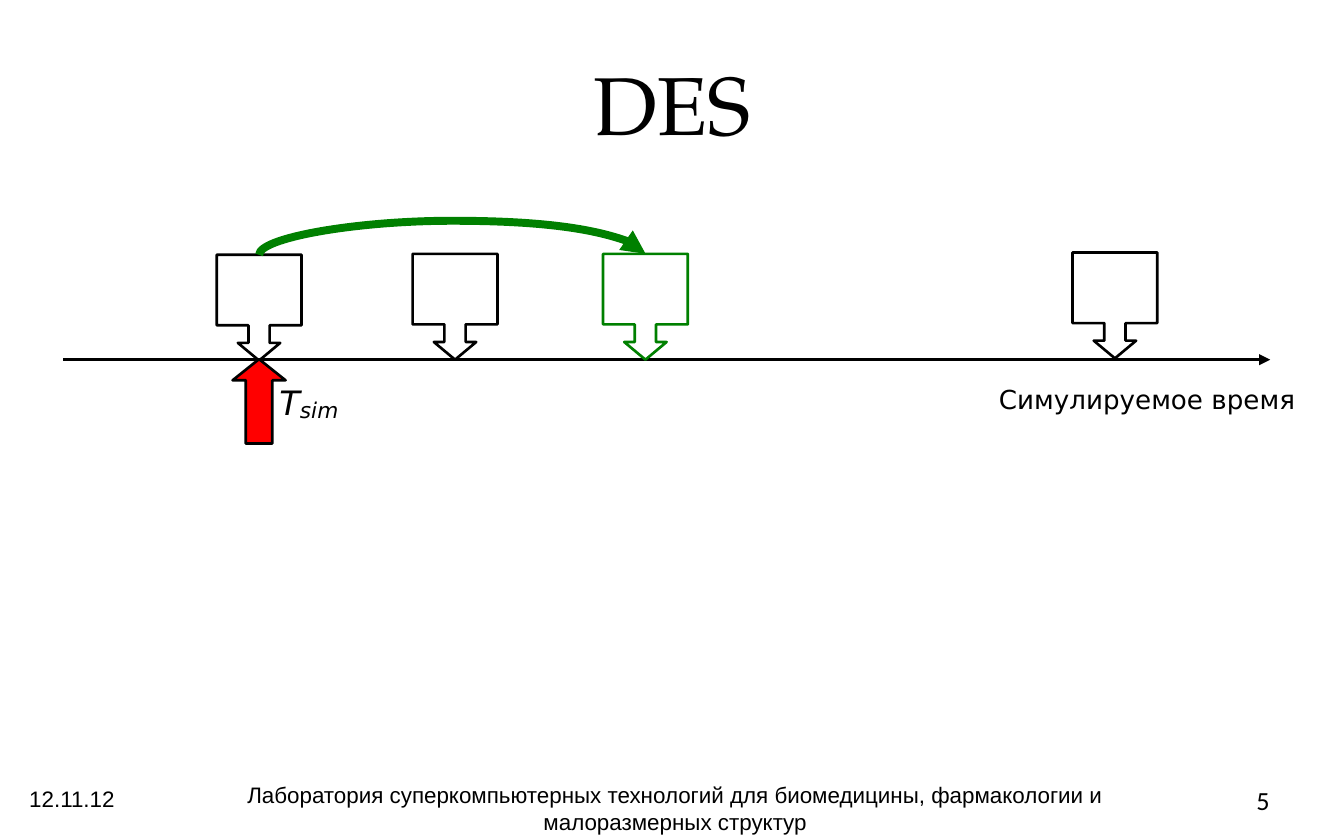
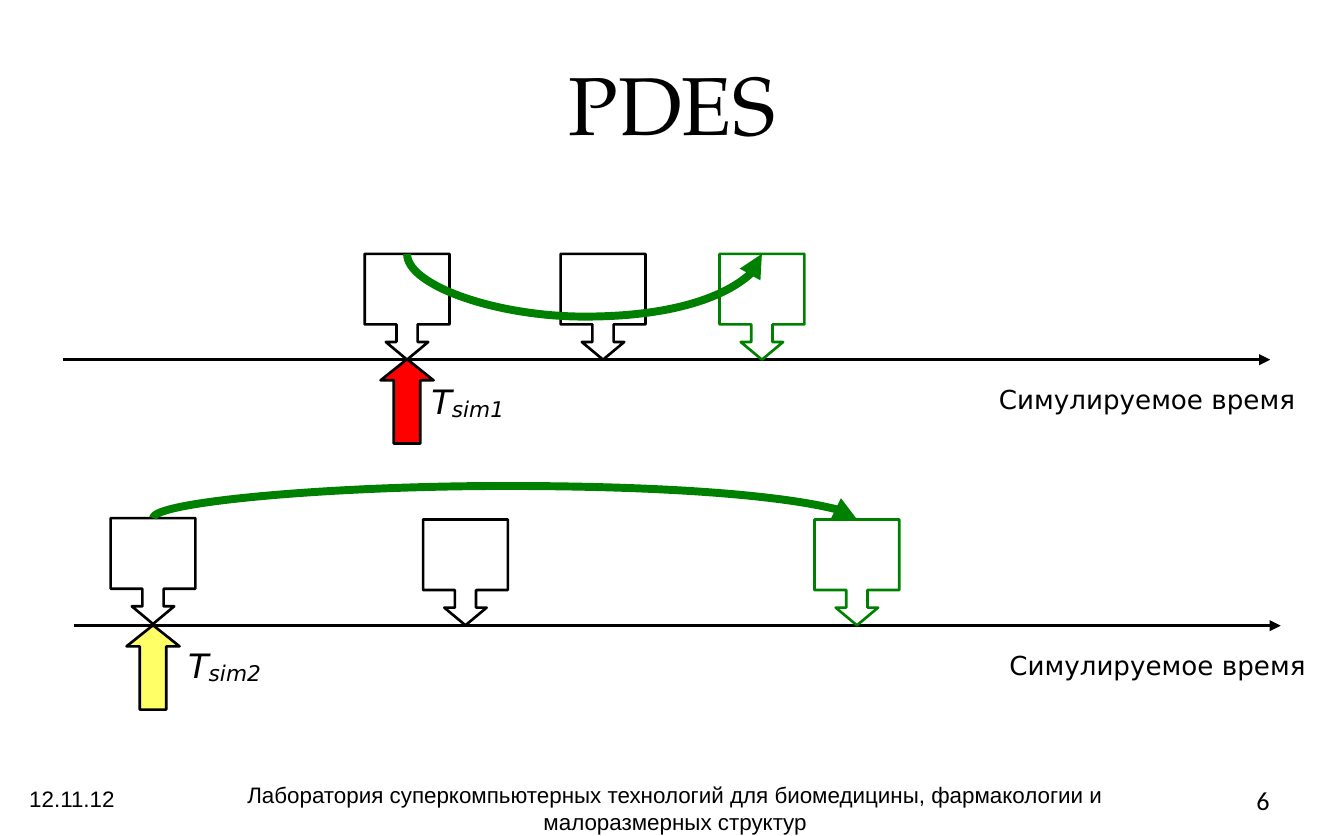
from dataclasses import dataclass

from lxml import etree
from pptx import Presentation
from pptx.dml.color import RGBColor as RGB
from pptx.enum.shapes import MSO_CONNECTOR as Link, MSO_SHAPE as Preset
from pptx.enum.text import MSO_ANCHOR as Anchor, MSO_AUTO_SIZE as AutoSize, PP_ALIGN as Align
from pptx.oxml.ns import qn
from pptx.util import Pt


@dataclass(frozen=True)
class Theme:
    black: RGB = RGB(0, 0, 0)
    white: RGB = RGB(255, 255, 255)
    green: RGB = RGB(0, 128, 0)
    red: RGB = RGB(255, 0, 0)
    yellow: RGB = RGB(255, 255, 102)
    title_font: str = "TeX Gyre Pagella"
    footer_font: str = "Arial"
    number_font: str = "Calibri"
    label_font: str = "DejaVu Sans"
    title_size: float = 44
    footer_size: float = 12
    label_size: float = 14
    clock_size: float = 18
    index_size: float = 20
    thin: float = 1.42
    thick: float = 4.25


THEME = Theme()

# Sizes of the timeline parts, in points
AXIS_LENGTH = 646.5
EVENT_WIDTH, EVENT_HEIGHT = 45.4, 56.7
POINTER_WIDTH, POINTER_HEIGHT = 28.4, 45.2
CLOCK_SIZE = (68, 38.9)
DATE = "12.11.12"
LAB = ("Лаборатория суперкомпьютерных технологий для биомедицины, "
       "фармакологии и малоразмерных структур")


def set_font(font, name, size):
    font.name, font.size = name, Pt(size)
    font.color.rgb = THEME.black


def add_text(page, bounds, text, name, size, align=Align.LEFT, insets=(7.2, 3.6)):
    box = page.shapes.add_textbox(*map(Pt, bounds))
    frame = box.text_frame
    frame.word_wrap = True
    frame.margin_left = frame.margin_right = Pt(insets[0])
    frame.margin_top = frame.margin_bottom = Pt(insets[1])
    para = frame.paragraphs[0]
    para.text, para.alignment = text, align
    set_font(para.font, name, size)
    return frame


def add_label(page, bounds, text, size):
    """A one-line label whose box fits its text."""
    frame = add_text(page, bounds, text, THEME.label_font, size, insets=(7.9, 4.3))
    frame.word_wrap = False
    frame.auto_size = AutoSize.SHAPE_TO_FIT_TEXT
    return frame.paragraphs[0]


def add_preset(page, preset, bounds, fill, line, adjustments):
    shape = page.shapes.add_shape(preset, *map(Pt, bounds))
    shape.shadow.inherit = False
    for index, value in enumerate(adjustments):
        shape.adjustments[index] = value
    shape.fill.solid()
    shape.fill.fore_color.rgb = fill
    shape.line.color.rgb = line
    shape.line.width = Pt(THEME.thin)


def add_arrow(page, kind, start, end, color, width):
    arrow = page.shapes.add_connector(kind, *map(Pt, start + end))
    arrow.line.color.rgb = color
    arrow.line.width = Pt(width)
    etree.SubElement(arrow.line._get_or_add_ln(), qn("a:tailEnd"), type="triangle")
    etree.SubElement(arrow._element.spPr, qn("a:effectLst"))
    return arrow


def add_arc(page, start, end, bulge):
    """Curved arrow between two nearly level points; a positive bulge goes up."""
    (x1, y1), (x2, y2) = start, end
    span, drop = x2 - x1, y2 - y1
    breadth = abs(drop)
    # The connector stands upright and is turned onto its side
    left, top = (x1 + x2 - breadth) / 2, (y1 + y2 - span) / 2
    arc = add_arrow(page, Link.CURVE, (left, top), (left + breadth, top + span),
                    THEME.green, THEME.thick)
    if drop > 0:
        turn, flips = 270, ("flipH",)
    elif bulge > 0:
        turn, flips = 90, ("flipH", "flipV")
    else:
        turn, flips = 270, ()
    properties = arc._element.spPr
    frame = properties.find(qn("a:xfrm"))
    frame.set("rot", str(turn * 60000))
    for flip in flips:
        frame.set(flip, "1")
    geometry = properties.find(qn("a:prstGeom"))
    guides = geometry.find(qn("a:avLst"))
    if guides is None:
        guides = etree.SubElement(geometry, qn("a:avLst"))
    etree.SubElement(guides, qn("a:gd"), name="adj1",
                     fmla=f"val {round(-bulge / drop * 100000)}")


def add_timeline(page, origin, events, pointer, clock, clock_at):
    """Time axis with events (centre, top, colour) and a clock under the first."""
    x, y = origin
    add_arrow(page, Link.STRAIGHT, origin, (x + AXIS_LENGTH, y), THEME.black, THEME.thin)
    for center, top, color in events:
        add_preset(page, Preset.DOWN_ARROW_CALLOUT,
                   (center - EVENT_WIDTH / 2, top, EVENT_WIDTH, EVENT_HEIGHT),
                   THEME.white, color, (0.25, 0.25, 0.208, 0.667))
    add_label(page, (x + 493.2, y + 8.6, 175, 25.2), "Симулируемое время", THEME.label_size)

    # Clock pointer and its name with a lowered index
    now = events[0][0]
    add_preset(page, Preset.UP_ARROW,
               (now - POINTER_WIDTH / 2, y - 0.3, POINTER_WIDTH, POINTER_HEIGHT),
               pointer, THEME.black, (0.5, 0.4))
    para = add_label(page, clock_at + CLOCK_SIZE, "T", THEME.clock_size)
    para.font.italic = True
    index = para.add_run()
    index.text = clock
    index.font.size = Pt(THEME.index_size)
    index.font._element.set("baseline", "-8000")


def add_page(deck, title, number):
    page = deck.slides.add_slide(deck.slide_layouts[5])
    # Title
    heading = page.shapes.title
    heading.left, heading.top, heading.width, heading.height = map(Pt, (36, 17.8, 648, 74.9))
    heading.text_frame.text = title
    heading.text_frame.vertical_anchor = Anchor.MIDDLE
    para = heading.text_frame.paragraphs[0]
    para.alignment = Align.CENTER
    set_font(para.font, THEME.title_font, THEME.title_size)
    # Footer
    add_text(page, (8.6, 416.9, 79.2, 23.8), DATE, THEME.footer_font, THEME.footer_size)
    add_text(page, (82.1, 414.9, 559.4, 23.8), LAB, THEME.footer_font, THEME.footer_size,
             Align.CENTER)
    add_text(page, (666, 416.9, 40.3, 23.8), number, THEME.number_font, THEME.label_size)
    return page


def main():
    deck = Presentation()
    deck.slide_width, deck.slide_height = Pt(720), Pt(447.84)
    black, green = THEME.black, THEME.green
    upper, lower = (34, 192.7), (39.6, 335.2)

    # One event queue
    page = add_page(deck, "DES", "5")
    add_timeline(page, upper,
                 [(138.8, 136.5, black), (243.8, 136, black),
                  (345.8, 136, green), (597.3, 135.3, black)],
                 THEME.red, "sim", (141.8, 198.4))
    add_arc(page, (138.8, 136.58), (345.8, 136), 18.7)

    # Two parallel queues
    page = add_page(deck, "PDES", "6")
    add_timeline(page, upper,
                 [(218.1, 136, black), (323.1, 136, black), (408.2, 136, green)],
                 THEME.red, "sim1", (223.2, 198))
    add_timeline(page, lower,
                 [(82, 277.6, black), (249.4, 278.3, black), (459.1, 278.3, green)],
                 THEME.yellow, "sim2", (92.9, 339.1))
    add_arc(page, (82, 277.55), (459.1, 278.3), 17.5)
    add_arc(page, (218.1, 136.03), (408.2, 136), -17.76)

    deck.save("out.pptx")


if __name__ == "__main__":
    main()
